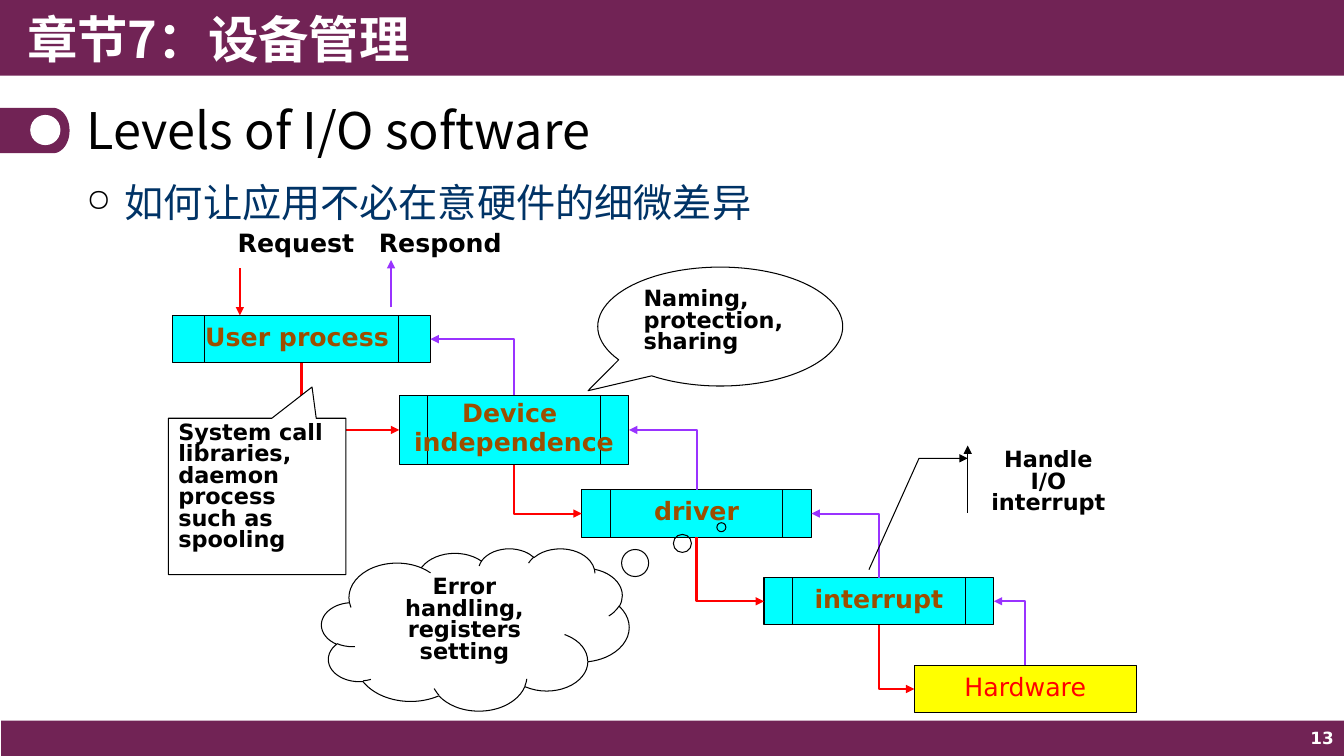
from math import cos, pi, sin

from lxml import etree
from pptx import Presentation
from pptx import util as u
from pptx.dml.color import RGBColor
from pptx.enum import shapes, text
from pptx.oxml.ns import qn

THEME = dict(
    plum="712355", white="FFFFFF", black="000000", navy="003366", cyan="00FFFF",
    yellow="FFFF00", brown="9C4E00", red="FF0000", violet="9933FF",
    head=36, body=28, label=18, note=16, page=12,
    sans="DejaVu Sans", cjk="Noto Sans CJK SC",
)
KIND = shapes.MSO_SHAPE
LEFT, MID, RIGHT = text.PP_ALIGN.LEFT, text.PP_ALIGN.CENTER, text.PP_ALIGN.RIGHT
TOP, CENTRE = text.MSO_ANCHOR.TOP, text.MSO_ANCHOR.MIDDLE

deck = Presentation()
deck.slide_width, deck.slide_height = u.Inches(13.33), u.Inches(7.5)
slide = deck.slides.add_slide(deck.slide_layouts[6])

# Grid of 100 columns by 100 rows
COL, ROW = deck.slide_width / 100, deck.slide_height / 100


def put(kind, at, words="", size="label", ink="black", fill=None, edge=None, bold=True,
        face="sans", align=LEFT, anchor=TOP, wrap=True, space=0.8):
    """Place a shape, or a text box when kind is None, with its text."""
    x, y, w, h = at
    area = [round(n) for n in (x * COL, y * ROW, w * COL, h * ROW)]
    if kind is None:
        item = slide.shapes.add_textbox(*area)
    else:
        item = slide.shapes.add_shape(kind, *area)
        item.shadow.inherit = False
        item.fill.background()
        item.line.fill.background()
    if fill:
        item.fill.solid()
        item.fill.fore_color.rgb = RGBColor.from_string(THEME[fill])
    if edge:
        item.line.color.rgb = RGBColor.from_string(THEME[edge])
        item.line.width = u.Pt(0.75)
    frame = item.text_frame
    frame.word_wrap, frame.vertical_anchor = wrap, anchor
    if words:
        frame.text = words
    for i, para in enumerate(frame.paragraphs if words else ()):
        para.alignment, para.line_spacing = align, space
        if i:
            para.space_before = u.Pt(THEME[size] * 0.2)
        font = para.font
        font.name, font.size, font.bold = THEME[face], u.Pt(THEME[size]), bold
        font.color.rgb = RGBColor.from_string(THEME[ink])
        base = para._p.pPr.find(qn("a:defRPr"))
        etree.SubElement(base, qn("a:ea"), typeface=THEME[face])
    return item


def tip(wire, ink):
    """Colour a connector, add its arrowhead and drop its shadow."""
    wire.line.color.rgb = RGBColor.from_string(THEME[ink])
    wire.line.width = u.Pt(1.5)
    etree.SubElement(wire.line._get_or_add_ln(), qn("a:tailEnd"), type="triangle")
    etree.SubElement(wire._element.spPr, qn("a:effectLst"))


# Bands and page number
put(KIND.RECTANGLE, (0.08, 95.33, 99.92, 4.67), fill="plum")
put(KIND.RECTANGLE, (0, 0, 100, 10), fill="plum")
put(None, (1.28, 0, 50, 10.27), "章节7：设备管理", "head", "white", face="cjk",
    anchor=CENTRE, space=1)
put(None, (77.48, 95.2, 22.5, 4.8), "13", "page", "white", align=RIGHT,
    anchor=CENTRE, space=1)

# Round-ended tab beside the title
turns = [pi * (i / 32 - 0.5) for i in range(33)]
curve = [((3.95 + 1.23 * cos(t)) * COL, (17.27 + 3 * sin(t)) * ROW) for t in turns]
path = slide.shapes.build_freeform(0, round(14.27 * ROW))
path.add_line_segments(curve + [(0, 20.27 * ROW)], close=True)
tab = path.convert_to_shape()
tab.shadow.inherit = False
tab.fill.solid()
tab.fill.fore_color.rgb = RGBColor.from_string(THEME["plum"])
tab.line.fill.background()
put(KIND.OVAL, (2.25, 15.2, 2.25, 4), fill="white")

# Title and bullet line
put(None, (5.7, 12.67, 88.58, 9.87), "Levels of I/O software", "head", bold=False,
    face="cjk", anchor=CENTRE, space=0.9)
point = put(None, (5.7, 22.93, 78.9, 10.67), "如何让应用不必在意硬件的细微差异", "body", "navy",
            bold=False, face="cjk", space=1)
props = point.text_frame.paragraphs[0]._p.pPr
props.set("marL", str(u.Inches(0.38)))
props.set("indent", str(-u.Inches(0.38)))
mark = etree.Element(qn("a:buClr"))
etree.SubElement(mark, qn("a:srgbClr"), val=THEME["black"])
base = props.find(qn("a:defRPr"))
base.addprevious(mark)
base.addprevious(etree.Element(qn("a:buSzPct"), val="80000"))
base.addprevious(etree.Element(qn("a:buChar"), char="○"))

# Software levels, from the top down
STEP = KIND.FLOWCHART_PREDEFINED_PROCESS
levels = [
    put(kind, at, words, ink=ink, fill=fill, edge="black", bold=kind == STEP,
        align=MID, anchor=CENTRE, wrap=False)
    for kind, at, words, ink, fill in (
        (STEP, (12.83, 41.73, 19.2, 6.27), "User process ", "brown", "cyan"),
        (STEP, (29.7, 52.27, 17.1, 9.2), "Device \nindependence", "brown", "cyan"),
        (STEP, (43.28, 64.8, 17.1, 6.27), "driver", "brown", "cyan"),
        (STEP, (56.85, 76.4, 17.1, 6.27), "interrupt", "brown", "cyan"),
        (KIND.RECTANGLE, (68.03, 88, 16.5, 6.27), "Hardware", "red", "yellow"),
    )
]

# Elbows: requests run down in red, responses run up in violet
for upper, lower in zip(levels, levels[1:]):
    for start, out, end, into, ink, turn in (
        (upper, 2, lower, 1, "red", 270),
        (lower, 0, upper, 3, "violet", 90),
    ):
        wire = slide.shapes.add_connector(shapes.MSO_CONNECTOR.ELBOW, 0, 0, 0, 0)
        wire.begin_connect(start, out)
        wire.end_connect(end, into)
        x1, y1, x2, y2 = wire.begin_x, wire.begin_y, wire.end_x, wire.end_y
        wide, high = abs(y2 - y1), abs(x2 - x1)
        wire.left, wire.top = (x1 + x2 - wide) // 2, (y1 + y2 - high) // 2
        wire.width, wire.height = wide, high
        frame = wire._element.spPr.find(qn("a:xfrm"))
        for key, val in (("rot", turn * 60000), ("flipH", 1), ("flipV", 0)):
            frame.set(key, str(val))
        wire._element.spPr.find(qn("a:prstGeom")).set("prst", "bentConnector2")
        tip(wire, ink)

# Request and respond arrows
for words, x, w, at, y1, y2, ink in (
    ("Request", 16.95, 10.2, 17.85, 35.47, 41.73, "red"),
    ("Respond", 27.45, 10.73, 29.1, 40.67, 34.4, "violet"),
):
    put(None, (x, 30.13, w, 4.53), words, wrap=False)
    ends = [round(n) for n in (at * COL, y1 * ROW, at * COL, y2 * ROW)]
    tip(slide.shapes.add_connector(shapes.MSO_CONNECTOR.STRAIGHT, *ends), ink)

# Callouts
for kind, at, words, fill, align, bends in (
    (KIND.RECTANGULAR_CALLOUT, (12.53, 55.33, 13.2, 20.67),
     "System call libraries, daemon process such as spooling", "white", LEFT, (0.31, -0.7)),
    (KIND.OVAL_CALLOUT, (44.48, 35.33, 18.23, 15.73),
     "Naming, protection, sharing", None, LEFT, (-0.54, 0.54)),
    (KIND.CLOUD_CALLOUT, (23.93, 72.53, 22.88, 21.47),
     "Error handling, registers setting", None, MID, (0.8, -0.63)),
    (KIND.LINE_CALLOUT_2_ACCENT_BAR, (72.83, 58.93, 10.35, 8.93),
     "Handle I/O interrupt", None, MID, (0.19, -0.08, 0.19, -0.43, 1.84, -0.79)),
):
    note = put(kind, at, words, "note", fill=fill, edge="black", align=align)
    for i, bend in enumerate(bends):
        note.adjustments[i] = bend
etree.SubElement(note.line._get_or_add_ln(), qn("a:headEnd"), type="triangle")

deck.save("out.pptx")
